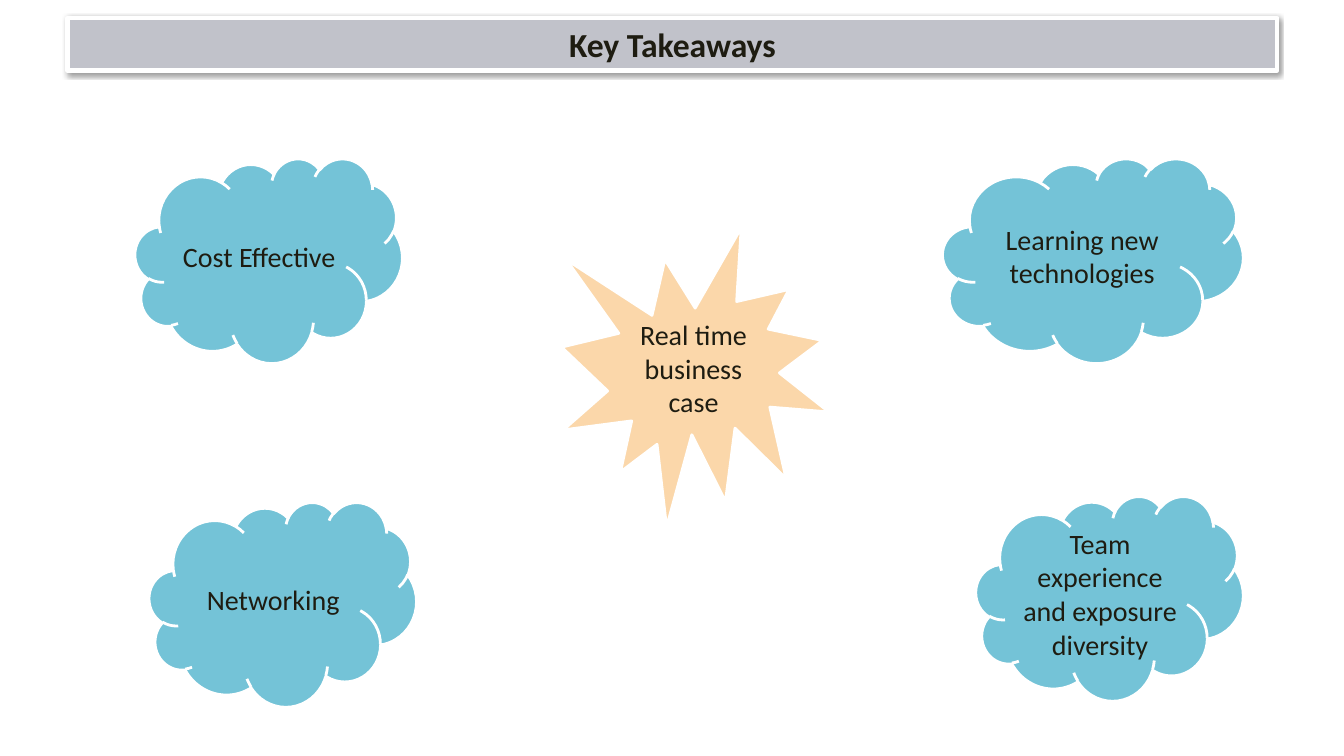
from lxml import etree
from pptx import Presentation
from pptx.dml.color import RGBColor
from pptx.enum import shapes, text
from pptx.oxml import ns
from pptx.util import Inches, Pt

COLORS = {
    "banner": "C1C2CA",
    "cloud": "74C3D7",
    "burst": "FBD7AA",
    "outline": "FFFFFF",
    "ink": "1E1C11",
    "shadow": "000000",
}
SHAPE = shapes.MSO_SHAPE

# Each takeaway cloud: wording and its box (left, top, width, height)
TAKEAWAYS = [
    ("Cost Effective", (1.34, 1.57, 2.65, 2.03)),
    ("Learning new technologies", (9.35, 1.57, 2.98, 2.03)),
    ("Team experience and exposure diversity", (9.68, 4.92, 2.65, 2.03)),
    ("Networking", (1.48, 4.98, 2.65, 2.03)),
]


def color(key):
    return RGBColor.from_string(COLORS[key])


def add_label(slide, preset, box, wording, fill, size=20, bold=False, outline=2):
    """Place an outlined shape in its box with centred wording."""
    label = slide.shapes.add_shape(preset, *map(Inches, box))
    label.shadow.inherit = False
    label.fill.solid()
    label.fill.fore_color.rgb = color(fill)
    label.line.color.rgb = color("outline")
    label.line.width = Pt(outline)

    frame = label.text_frame
    frame.word_wrap = True
    frame.vertical_anchor = text.MSO_ANCHOR.MIDDLE
    frame.text = wording
    paragraph = frame.paragraphs[0]
    paragraph.alignment = text.PP_ALIGN.CENTER
    font = paragraph.runs[0].font
    font.name, font.size, font.bold = "Calibri", Pt(size), bold
    font.color.rgb = color("ink")
    return label


def add_drop_shadow(shape, blur, distance, opacity):
    """Cast a soft shadow straight down."""
    effects = shape._element.spPr.find(ns.qn("a:effectLst"))
    shadow = etree.SubElement(
        effects, ns.qn("a:outerShdw"), blurRad=str(Pt(blur)),
        dist=str(Pt(distance)), dir=str(90 * 60000), rotWithShape="0")
    tint = etree.SubElement(shadow, ns.qn("a:srgbClr"), val=COLORS["shadow"])
    etree.SubElement(tint, ns.qn("a:alpha"), val=str(opacity * 1000))


def add_title_banner(slide, box):
    banner = add_label(slide, SHAPE.RECTANGLE, box, "Key Takeaways", "banner",
                       size=24, bold=True, outline=3)
    frame = banner.text_frame
    frame.margin_left = frame.margin_right = Inches(0.13)
    frame.margin_top = frame.margin_bottom = Inches(0.07)
    add_drop_shadow(banner, blur=3.1, distance=1.6, opacity=38)


def add_business_case(slide, box):
    add_label(slide, SHAPE.EXPLOSION1, box, "Real time business case", "burst")


def add_takeaway(slide, box, wording):
    add_label(slide, SHAPE.CLOUD, box, wording, "cloud")


def main():
    deck = Presentation()
    deck.slide_width, deck.slide_height = Inches(13.33), Inches(7.5)
    slide = deck.slides.add_slide(deck.slide_layouts[6])

    # Title
    add_title_banner(slide, (0.67, 0.18, 12, 0.52))

    # Clouds around the central burst
    for wording, box in TAKEAWAYS:
        add_takeaway(slide, box, wording)
    add_business_case(slide, (5.57, 2.26, 2.65, 2.97))

    deck.save("out.pptx")


if __name__ == "__main__":
    main()
